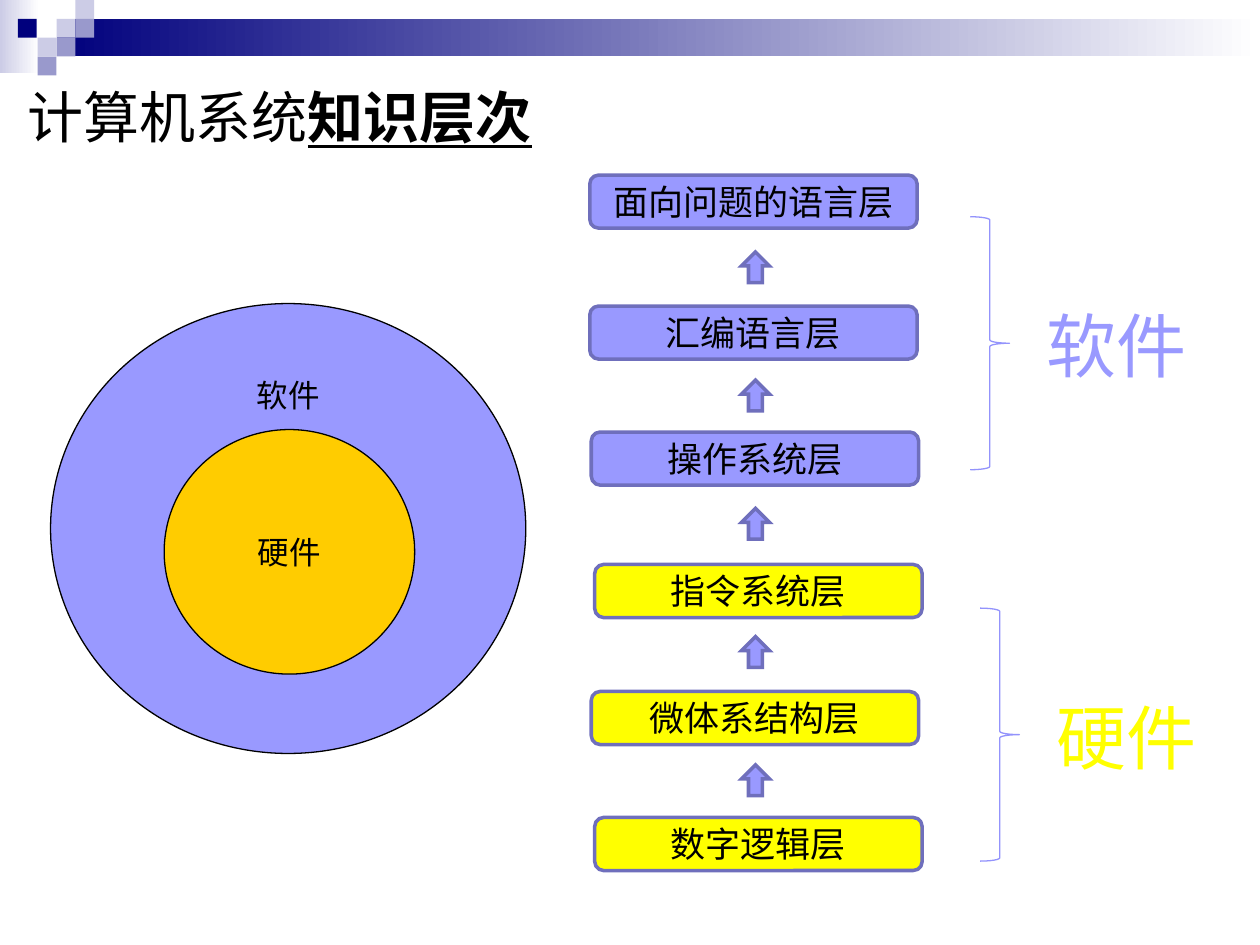
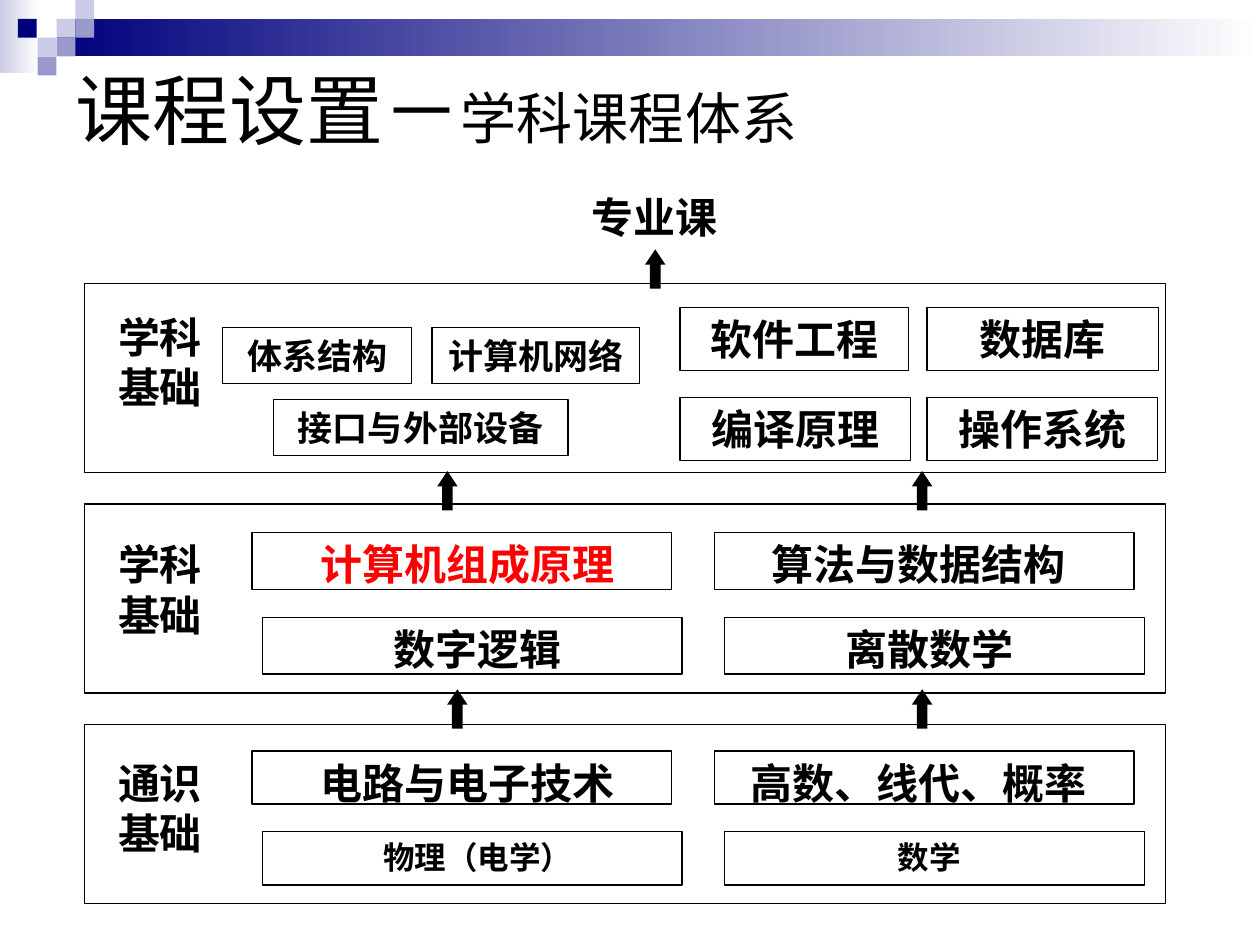
from lxml import etree
from pptx import Presentation
from pptx.dml.color import RGBColor
from pptx.enum import shapes, text
from pptx.oxml import ns
from pptx.util import Cm, Pt

BLACK, WHITE, RED = "000000", "FFFFFF", "FF0000"
NAVY, MAUVE, PALE = "00007D", "9999CC", "CCCCE6"
VIOLET, EDGE, BRACE = "9999FF", "6F6FBC", "9393FC"
YELLOW, GOLD = "FFFF00", "FFCC00"
SANS, SERIF = "Arial", "Times New Roman"
KIND = shapes.MSO_SHAPE
TOP, MIDDLE = text.MSO_ANCHOR.TOP, text.MSO_ANCHOR.MIDDLE
LEFT, CENTER = text.PP_ALIGN.LEFT, text.PP_ALIGN.CENTER


# ---------- shared helpers ----------
def rgb(color):
    return RGBColor.from_string(color)


def lengths(box):
    return [Cm(value) for value in box]


def put(slide, kind, box, fill=None, line=None, width=0.75):
    """Add a preset shape; box is left, top, width, height in cm."""
    shape = slide.shapes.add_shape(kind, *lengths(box))
    shape.shadow.inherit = False
    if fill:
        shape.fill.solid()
        shape.fill.fore_color.rgb = rgb(fill)
    else:
        shape.fill.background()
    if line:
        shape.line.color.rgb = rgb(line)
        shape.line.width = Pt(width)
    else:
        shape.line.fill.background()
    return shape


def write(shape, words, size, font=SANS, color=BLACK, bold=False,
          align=CENTER, anchor=TOP, wrap=True):
    frame = shape.text_frame
    frame.word_wrap = wrap
    frame.vertical_anchor = anchor
    frame.margin_bottom = Cm(0.13 if anchor == MIDDLE else 0)
    paragraph = frame.paragraphs[0]
    paragraph.text = words
    paragraph.alignment = align
    paragraph.font.name = font
    paragraph.font.size = Pt(size)
    paragraph.font.bold = bold
    paragraph.font.color.rgb = rgb(color)
    return frame


def label(slide, box, words, size, **style):
    return write(slide.shapes.add_textbox(*lengths(box)), words, size, **style)


def up_arrow(slide, box, fill, line, width, head=0.5):
    arrow = put(slide, KIND.UP_ARROW, box, fill, line, width)
    arrow.adjustments[1] = head
    etree.SubElement(arrow.line._get_or_add_ln(), ns.qn("a:miter"), lim="800000")


def gradient_bar(slide, box, start):
    bar = put(slide, KIND.RECTANGLE, box)
    bar.fill.gradient()
    bar.fill.gradient_angle = 0
    for stop, color in zip(bar.fill.gradient_stops, (start, WHITE)):
        stop.color.rgb = rgb(color)


def header_band(slide):
    gradient_bar(slide, (0, 0, 0.79, 1.47), PALE)
    gradient_bar(slide, (1.14, 0.38, 24.26, 0.76), NAVY)
    tile = 0.38
    tiles = [(3, 1, PALE), (4, 0, PALE), (4, 1, MAUVE), (2, 2, PALE),
             (0.95, 1, NAVY), (3, 2, MAUVE), (2, 3, MAUVE)]
    for column, row, color in tiles:
        put(slide, KIND.RECTANGLE, (column * tile, row * tile, tile, tile), color)


def titled_slide(deck, box, parts):
    """Start a slide; parts are (words, size, emphasised) runs of its title."""
    slide = deck.slides.add_slide(deck.slide_layouts[5])
    header_band(slide)
    title = slide.shapes.title
    title.left, title.top, title.width, title.height = lengths(box)
    frame = title.text_frame
    frame.auto_size = text.MSO_AUTO_SIZE.NONE
    frame.vertical_anchor = MIDDLE
    paragraph = frame.paragraphs[0]
    paragraph.alignment = LEFT
    paragraph.font.name = SANS
    paragraph.font.color.rgb = rgb(BLACK)
    for words, size, emphasised in parts:
        run = paragraph.add_run()
        run.text = words
        run.font.size = Pt(size)
        if emphasised:
            run.font.bold = run.font.underline = True
    return slide


# ---------- slide 1: knowledge levels ----------
def nested_circles(slide, x, y):
    software = put(slide, KIND.OVAL, (x, y, 9.58, 9.07), VIOLET, BLACK)
    write(software, "软件", 18, wrap=False)
    hardware = put(slide, KIND.OVAL, (x + 2.29, y + 2.54, 5.05, 4.93), GOLD, BLACK)
    write(hardware, "硬件", 18, anchor=MIDDLE, wrap=False)


def level_stack(slide, x, y):
    levels = [("面向问题的语言层", 0, 0, VIOLET), ("汇编语言层", 0, 2.64, VIOLET),
              ("操作系统层", 0.03, 5.18, VIOLET), ("指令系统层", 0.1, 7.85, YELLOW),
              ("微体系结构层", 0.03, 10.41, YELLOW), ("数字逻辑层", 0.1, 12.95, YELLOW)]
    for words, dx, dy, color in levels:
        level = put(slide, KIND.FLOWCHART_ALTERNATE_PROCESS,
                    (x + dx, y + dy, 6.6, 1.07), color, EDGE, 2)
        write(level, words, 20, anchor=MIDDLE)
    for gap in range(len(levels) - 1):
        up_arrow(slide, (x + 3.06, y + 1.55 + 2.585 * gap, 0.56, 0.62),
                 VIOLET, EDGE, 2)


def bracketed_group(slide, x, y, words, color, words_dx, words_width):
    put(slide, KIND.RIGHT_BRACE, (x, y, 0.79, 5.1), line=BRACE)
    label(slide, (x + words_dx, y + 1.61, words_width, 1.96), words, 40,
          font=SERIF, color=color)


def knowledge_levels(deck):
    slide = titled_slide(deck, (0.3, 1.52, 12.09, 1.63),
                         [("计算机系统", 32, False), ("知识层次", 32, True)])
    nested_circles(slide, 1.02, 6.12)
    level_stack(slide, 11.89, 3.53)
    bracketed_group(slide, 19.56, 4.37, "软件", VIOLET, 0.91, 4.06)
    bracketed_group(slide, 19.76, 12.26, "硬件", YELLOW, 1.14, 3.63)


# ---------- slide 2: course system ----------
def tier(slide, box, name, name_dy):
    """Frame one tier of courses and name it at the left."""
    x, y = box[:2]
    put(slide, KIND.RECTANGLE, box, line=BLACK)
    label(slide, (x + 0.43, y + name_dy, 2.54, 2.29), name, 24,
          font=SERIF, bold=True, align=LEFT)


def course(slide, box, words, size, **style):
    frame = put(slide, KIND.RECTANGLE, box, line=BLACK)
    return write(frame, words, size, bold=True, **style)


def advanced_tier(slide, box):
    tier(slide, box, "学科基础", 0.43)
    courses = [("体系结构", 2.79, 0.89, 3.81, 20), ("计算机网络", 7.01, 0.89, 4.19, 20),
               ("接口与外部设备", 3.81, 2.34, 5.94, 20),
               ("软件工程", 12.01, 0.48, 4.6, 24), ("数据库", 16.99, 0.48, 4.67, 24),
               ("编译原理", 12.01, 2.29, 4.65, 24), ("操作系统", 16.99, 2.29, 4.65, 24)]
    for words, dx, dy, width, size in courses:
        height = 1.12 if size == 20 else 1.27
        course(slide, (box[0] + dx, box[1] + dy, width, height), words, size,
               font=SERIF)


def paired_tier(slide, box, name, first_dy, row_step, height, rows):
    """Two columns of courses; each lower row is shifted to the right."""
    tier(slide, box, name, first_dy)
    for row, (size, *pair) in enumerate(rows):
        for column, (words, color) in enumerate(pair):
            cell = (box[0] + 3.38 + 9.32 * column + 0.21 * row,
                    box[1] + first_dy + row_step * row, 8.46, height)
            frame = course(slide, cell, words, size, color=color,
                           font=SANS if column else SERIF)
            if column:
                frame.margin_right = Cm(0.47)
            else:
                frame.margin_left = Cm(0.47)


def course_system(deck):
    slide = titled_slide(deck, (1.27, 1.27, 22.86, 1.85),
                         [("课程设置－", 44, False), ("学科课程体系", 32, False)])
    x, width = 1.7, 21.79
    label(slide, (10.9, 3.73, 4.6, 1.27), "专业课", 24, font=SERIF, bold=True)
    advanced_tier(slide, (x, 5.72, width, 3.81))
    paired_tier(slide, (x, 10.16, width, 3.81), "学科基础", 0.58, 1.71, 1.14,
                [(24, ("计算机组成原理", RED), ("算法与数据结构", BLACK)),
                 (24, ("数字逻辑", BLACK), ("离散数学", BLACK))])
    paired_tier(slide, (x, 14.61, width, 3.61), "通识基础", 0.53, 1.63, 1.07,
                [(24, ("电路与电子技术", BLACK), ("高数、线代、概率", BLACK)),
                 (18, ("物理（电学）", BLACK), ("数学", BLACK))])
    # Arrows leading up from tier to tier
    for left, top in [(13.11, 5.13), (8.92, 9.6), (18.49, 9.6),
                      (9.12, 14), (18.49, 14)]:
        up_arrow(slide, (left, top, 0.2, 0.63), BLACK, BLACK, 3.25, head=0.75)


def main():
    deck = Presentation()
    deck.slide_width, deck.slide_height = Cm(25.4), Cm(19.05)
    knowledge_levels(deck)
    course_system(deck)
    deck.save("out.pptx")


if __name__ == "__main__":
    main()
